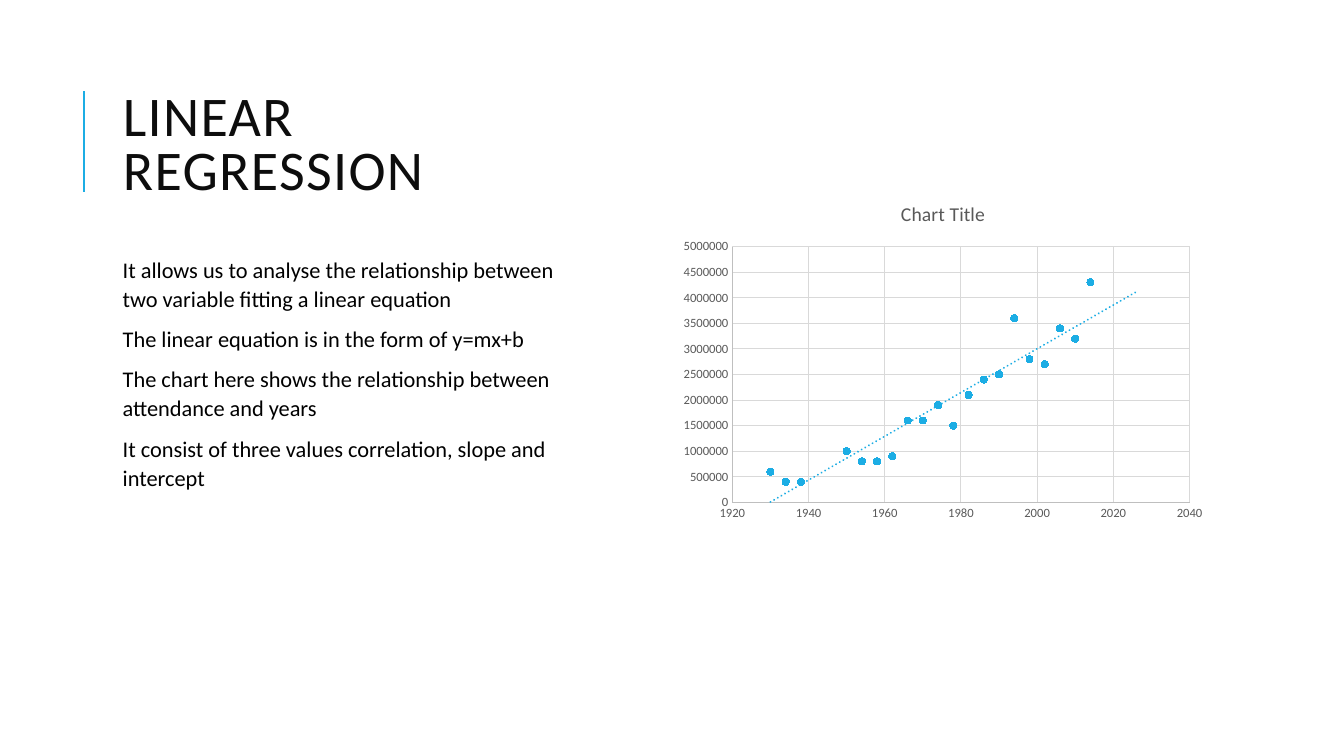
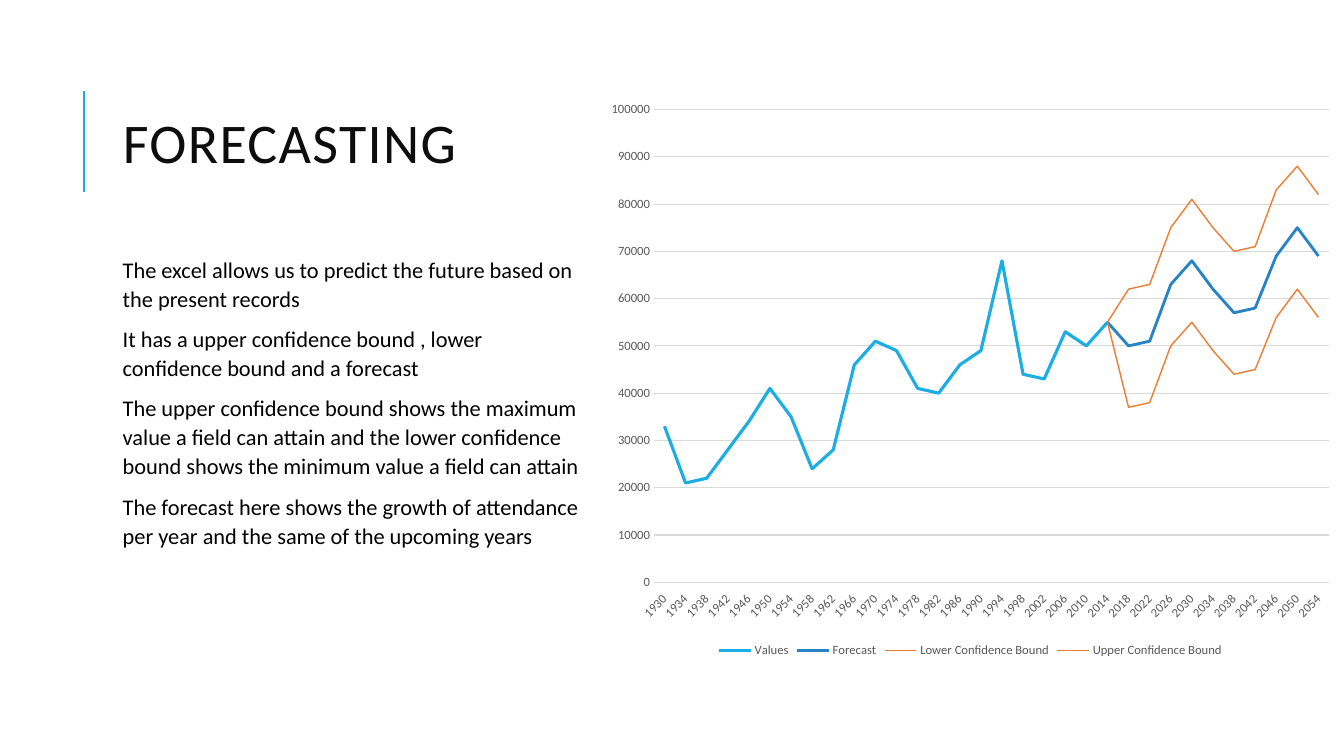
from dataclasses import dataclass

from lxml import etree
from pptx import Presentation
from pptx.chart.data import CategoryChartData, XyChartData
from pptx.dml.color import RGBColor
from pptx.enum.chart import (
    XL_CHART_TYPE, XL_LEGEND_POSITION, XL_MARKER_STYLE, XL_TICK_LABEL_POSITION, XL_TICK_MARK,
)
from pptx.enum.shapes import MSO_CONNECTOR
from pptx.enum.text import MSO_ANCHOR, MSO_AUTO_SIZE, PP_ALIGN
from pptx.oxml import parse_xml
from pptx.oxml.ns import nsdecls, qn
from pptx.util import Pt

STRAIGHT = MSO_CONNECTOR.STRAIGHT
SCATTER = XL_CHART_TYPE.XY_SCATTER
LINE = XL_CHART_TYPE.LINE
CIRCLE = XL_MARKER_STYLE.CIRCLE
NO_TICK = XL_TICK_MARK.NONE
LABELS_LOW = XL_TICK_LABEL_POSITION.LOW
LEGEND_BOTTOM = XL_LEGEND_POSITION.BOTTOM
MIDDLE = MSO_ANCHOR.MIDDLE
TOP = MSO_ANCHOR.TOP
NO_AUTOFIT = MSO_AUTO_SIZE.NONE
LEFT = PP_ALIGN.LEFT
TITLE_ONLY = 5


@dataclass(frozen=True)
class Theme:
    """Fonts, type sizes, colours and shared boxes, in points."""
    font: str = "Calibri"
    title_size: float = 40
    body_size: float = 16
    chart_title_size: float = 14
    label_size: float = 9
    accent: str = "1CADE4"
    forecast: str = "2683C6"
    bound: str = "ED7D31"
    title: str = "0D0D0D"
    body: str = "000000"
    label: str = "595959"
    axis: str = "BFBFBF"
    grid: str = "D9D9D9"
    title_box: tuple = (80.6, 37, 345.6, 136.8)
    body_box: tuple = (80.6, 177.8, 345.6, 296)
    rule: tuple = (60, 136.8, 60, 64.8)


THEME = Theme()

REGRESSION_POINTS = [
    "It allows us to analyse the relationship between two variable fitting a linear equation",
    "The linear equation is in the form of y=mx+b",
    "The chart here shows the relationship between attendance and years",
    "It consist of three values correlation, slope and intercept",
]
FORECAST_POINTS = [
    "The excel allows us to predict the future based on the present records",
    "It has a upper confidence bound , lower confidence bound and a forecast",
    "The upper confidence bound shows the maximum value a field can attain "
    "and the lower confidence bound shows the minimum value a field can attain",
    "The forecast here shows the growth of attendance per year and the same of the upcoming years",
]

ATTENDANCE_YEARS = [1930, 1934, 1938, *range(1950, 2015, 4)]
ATTENDANCE = [
    600000, 400000, 400000, 1000000, 800000, 800000, 900000, 1600000, 1600000, 1900000,
    1500000, 2100000, 2400000, 2500000, 3600000, 2800000, 2700000, 3400000, 3200000, 4300000,
]

FORECAST_YEARS = range(1930, 2055, 4)
RECORDED = [
    33000, 21000, 22000, 28000, 34000, 41000, 35000, 24000, 28000, 46000, 51000,
    49000, 41000, 40000, 46000, 49000, 68000, 44000, 43000, 53000, 50000, 55000,
]
FORECAST = [50000, 51000, 63000, 68000, 62000, 57000, 58000, 69000, 75000, 69000]
LOWER_BOUND = [37000, 38000, 50000, 55000, 49000, 44000, 45000, 56000, 62000, 56000]
UPPER_BOUND = [62000, 63000, 75000, 81000, 75000, 70000, 71000, 83000, 88000, 82000]


def points(lengths):
    """Convert a tuple of numbers to point lengths."""
    return [Pt(length) for length in lengths]


def style_font(font, size, color):
    """Apply the theme font with a size and colour."""
    font.name = THEME.font
    font.size = Pt(size)
    font.bold = False
    font.color.rgb = RGBColor.from_string(color)


def style_line(line, color, width):
    """Give a line a solid colour and a width."""
    line.color.rgb = RGBColor.from_string(color)
    line.width = Pt(width)


def add_rule(slide):
    """Draw the accent rule beside the title."""
    connector = slide.shapes.add_connector(STRAIGHT, *points(THEME.rule))
    style_line(connector.line, THEME.accent, 1.5)
    etree.SubElement(connector._element.spPr, qn("a:effectLst"))


def set_title(slide, text):
    """Place and format the title placeholder."""
    title = slide.shapes.title
    title.left, title.top, title.width, title.height = points(THEME.title_box)
    frame = title.text_frame
    frame.text = text
    frame.word_wrap = True
    frame.auto_size = NO_AUTOFIT
    frame.vertical_anchor = MIDDLE
    paragraph = frame.paragraphs[0]
    paragraph.alignment = LEFT
    paragraph.line_spacing = 0.8
    style_font(paragraph.font, THEME.title_size, THEME.title)
    paragraph._p.get_or_add_pPr().find(qn("a:defRPr")).set("spc", "100")


def add_body(slide, texts):
    """Add the paragraphs below the title."""
    frame = slide.shapes.add_textbox(*points(THEME.body_box)).text_frame
    frame.word_wrap = True
    frame.vertical_anchor = TOP
    frame.text = "\n".join(texts)
    for paragraph in frame.paragraphs:
        paragraph.line_spacing = 1.08
        paragraph.space_before = Pt(6)
        paragraph.space_after = Pt(2)
        style_font(paragraph.font, THEME.body_size, THEME.body)


def add_text_slide(presentation, title, texts):
    """Add a slide with the shared rule, title and body."""
    slide = presentation.slides.add_slide(presentation.slide_layouts[TITLE_ONLY])
    add_rule(slide)
    set_title(slide, title)
    add_body(slide, texts)
    return slide


def add_plain_chart(slide, kind, box, data):
    """Add a chart with the shared font and no legend."""
    chart = slide.shapes.add_chart(kind, *points(box), data).chart
    style_font(chart.font, THEME.label_size, THEME.label)
    chart.has_title = False
    chart.has_legend = False
    chart.plots[0].vary_by_categories = False
    return chart


def style_axis(axis, line_color=None, gridlines=True):
    """Set the labels, line and gridlines of an axis."""
    axis.major_tick_mark = axis.minor_tick_mark = NO_TICK
    style_font(axis.tick_labels.font, THEME.label_size, THEME.label)
    if line_color:
        style_line(axis.format.line, line_color, 0.75)
    else:
        axis.format.line.fill.background()
    axis.has_major_gridlines = gridlines
    if gridlines:
        style_line(axis.major_gridlines.format.line, THEME.grid, 0.75)


def set_scale(axis, minimum, maximum, step):
    """Fix the range and step of an axis."""
    axis.minimum_scale = minimum
    axis.maximum_scale = maximum
    axis.major_unit = step


def add_trend_line(series, forward):
    """Add a dotted linear trend that runs past the last point."""
    trend_line = parse_xml(
        f'<c:trendline {nsdecls("c", "a")}><c:spPr><a:ln w="{Pt(1.5)}" cap="rnd">'
        f'<a:solidFill><a:srgbClr val="{THEME.accent}"/></a:solidFill>'
        '<a:prstDash val="sysDot"/></a:ln></c:spPr><c:trendlineType val="linear"/>'
        f'<c:forward val="{forward}"/><c:dispRSqr val="0"/><c:dispEq val="0"/></c:trendline>'
    )
    series._element.find(qn("c:xVal")).addprevious(trend_line)


def add_regression_chart(slide):
    """Add the attendance scatter chart with its trend."""
    data = XyChartData()
    attendance = data.add_series("Series 1")
    for year, visitors in zip(ATTENDANCE_YEARS, ATTENDANCE):
        attendance.add_data_point(year, visitors)
    chart = add_plain_chart(slide, SCATTER, (480.6, 131.6, 386, 245.5), data)
    chart.has_title = True
    chart.chart_title.include_in_layout = False
    chart.chart_title.text_frame.text = "Chart Title"
    paragraph = chart.chart_title.text_frame.paragraphs[0]
    style_font(paragraph.font, THEME.chart_title_size, THEME.label)
    for axis in (chart.category_axis, chart.value_axis):
        style_axis(axis, THEME.axis)
    set_scale(chart.category_axis, 1920, 2040, 20)
    set_scale(chart.value_axis, 0, 5000000, 500000)
    series = chart.plots[0].series[0]
    series.format.line.fill.background()
    series.marker.style = CIRCLE
    series.marker.size = 5
    series.marker.format.fill.solid()
    series.marker.format.fill.fore_color.rgb = RGBColor.from_string(THEME.accent)
    style_line(series.marker.format.line, THEME.accent, 0.75)
    add_trend_line(series, 12)


def add_forecast_chart(slide):
    """Add the line chart of records, forecast and bounds."""
    data = CategoryChartData(number_format="General")
    data.categories = [str(year) for year in FORECAST_YEARS]
    data.add_series("Values", RECORDED + [None] * len(FORECAST))
    lead = [None] * (len(RECORDED) - 1) + RECORDED[-1:]
    data.add_series("Forecast", lead + FORECAST)
    data.add_series("Lower Confidence Bound", lead + LOWER_BOUND)
    data.add_series("Upper Confidence Bound", lead + UPPER_BOUND)
    chart = add_plain_chart(slide, LINE, (426.2, 64.8, 533.8, 408.2), data)
    chart.has_legend = True
    chart.legend.position = LEGEND_BOTTOM
    chart.legend.include_in_layout = False
    style_font(chart.legend.font, THEME.label_size, THEME.label)
    style_axis(chart.category_axis, THEME.grid, gridlines=False)
    chart.category_axis.tick_label_position = LABELS_LOW
    chart.category_axis._element.find(qn("c:txPr")).find(qn("a:bodyPr")).set("rot", "-2700000")
    style_axis(chart.value_axis)
    set_scale(chart.value_axis, 0, 100000, 10000)
    strokes = [(THEME.accent, 2.25), (THEME.forecast, 2), (THEME.bound, 1), (THEME.bound, 1)]
    for series, (color, width) in zip(chart.plots[0].series, strokes):
        series.smooth = False
        style_line(series.format.line, color, width)


def main():
    """Build and save the presentation."""
    presentation = Presentation()
    presentation.slide_width, presentation.slide_height = Pt(960), Pt(540)
    add_regression_chart(add_text_slide(presentation, "LINEAR REGRESSION", REGRESSION_POINTS))
    add_forecast_chart(add_text_slide(presentation, "FORECASTING", FORECAST_POINTS))
    presentation.save("out.pptx")


if __name__ == "__main__":
    main()
